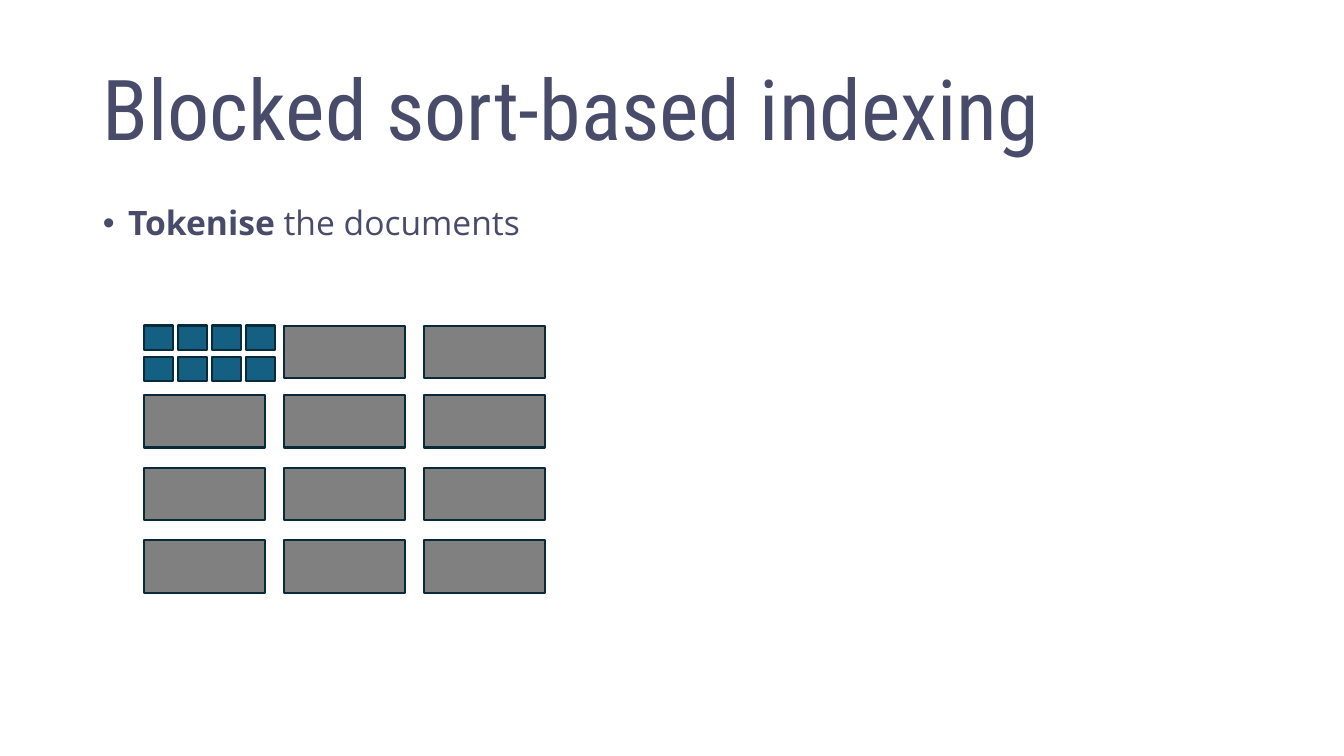
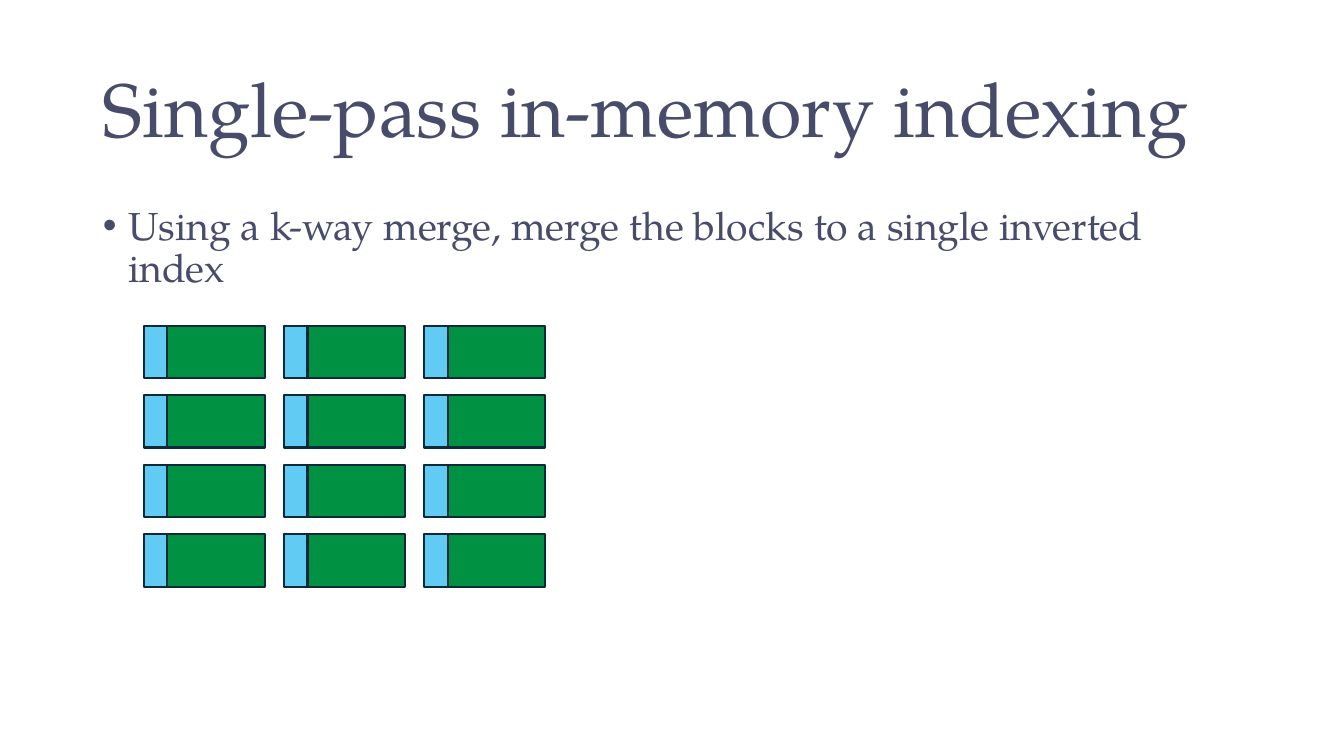
import dataclasses
import itertools

import pptx
import pptx.dml.color
import pptx.enum.shapes
import pptx.enum.text
import pptx.shapes.shapetree
import pptx.slide
import pptx.text.text
import pptx.util

Inches = pptx.util.Inches
Pt = pptx.util.Pt
RGBColor = pptx.dml.color.RGBColor

INK = RGBColor(0x48, 0x4B, 0x6A)
OUTLINE = RGBColor(0x09, 0x2A, 0x39)
GRAY = RGBColor(0x80, 0x80, 0x80)
TEAL = RGBColor(0x15, 0x60, 0x82)
SKY = RGBColor(0x61, 0xCB, 0xF4)
GREEN = RGBColor(0x00, 0x92, 0x42)

TEXT_LEFT, TEXT_W = 0.92, 11.5
COLS, ROWS = 3, 4
GRID_LEFT, GRID_TOP = 1.43, 3.23
COL_PITCH, ROW_PITCH = 1.39, 0.69
LOWER_TOP, LOWER_PITCH = 3.92, 0.72
BLOCK_W, BLOCK_H = 1.2, 0.52
TERM_W = 0.23
TOKEN_COLS, TOKEN_ROWS = 4, 2
TOKEN_W, TOKEN_H = 0.29, 0.24
TOKEN_COL_PITCH, TOKEN_ROW_PITCH = 0.337, 0.31


@dataclasses.dataclass(frozen=True)
class TextStyle:
    font: str
    size: int


@dataclasses.dataclass(frozen=True)
class Run:
    text: str
    bold: bool = False


@dataclasses.dataclass(frozen=True)
class Box:
    left: float
    top: float
    width: float
    height: float
    fill: RGBColor


def set_up_layout(layout: pptx.slide.SlideLayout) -> None:
    """Place the title and body once, for every slide of the layout."""
    for index, top, height in ((0, 0.4, 1.45), (1, 2, 5.3)):
        sp = layout.placeholders[index]
        sp.left, sp.top = Inches(TEXT_LEFT), Inches(top)
        sp.width, sp.height = Inches(TEXT_W), Inches(height)


def write_paragraph(tf: pptx.text.text.TextFrame, runs: list[Run],
                    style: TextStyle) -> pptx.text.text._Paragraph:
    tf.auto_size = pptx.enum.text.MSO_AUTO_SIZE.NONE
    p = tf.paragraphs[0]
    p.alignment = pptx.enum.text.PP_ALIGN.LEFT
    p.line_spacing = 0.9
    p.font.name = style.font
    p.font.size = Pt(style.size)
    p.font.color.rgb = INK
    for run in runs:
        r = p.add_run()
        r.text = run.text
        if run.bold:
            r.font.bold = True
    return p


def add_text_slide(prs: pptx.presentation.Presentation, title: str, title_style: TextStyle,
                   bullet: list[Run], bullet_style: TextStyle) -> pptx.slide.Slide:
    slide = prs.slides.add_slide(prs.slide_layouts[1])
    write_paragraph(slide.shapes.title.text_frame, [Run(title)], title_style)
    p = write_paragraph(slide.placeholders[1].text_frame, bullet, bullet_style)
    p.space_before = Pt(10)
    pPr = p._p.get_or_add_pPr()
    pPr.set("marL", str(Inches(0.25)))
    pPr.set("indent", str(Inches(-0.25)))
    return slide


def add_boxes(slide: pptx.slide.Slide, boxes: list[Box]) -> None:
    """Draw the boxes as one group."""
    group = slide.shapes.add_group_shape()
    for box in boxes:
        sp = group.shapes.add_shape(
            pptx.enum.shapes.MSO_SHAPE.RECTANGLE, Inches(box.left), Inches(box.top),
            Inches(box.width), Inches(box.height))
        sp.shadow.inherit = False
        sp.fill.solid()
        sp.fill.fore_color.rgb = box.fill
        sp.line.color.rgb = OUTLINE
        sp.line.width = Pt(1.5)


def document_blocks() -> list[Box]:
    """Return every block but the top left one, which is split into tokens."""
    tops = [GRID_TOP] + [LOWER_TOP + i * LOWER_PITCH for i in range(ROWS - 1)]
    return [Box(GRID_LEFT + col * COL_PITCH, tops[row], BLOCK_W, BLOCK_H, GRAY)
            for col, row in itertools.product(range(COLS), range(ROWS))
            if (col, row) != (0, 0)]


def tokens() -> list[Box]:
    return [Box(GRID_LEFT + col * TOKEN_COL_PITCH, GRID_TOP + row * TOKEN_ROW_PITCH,
                TOKEN_W, TOKEN_H, TEAL)
            for col, row in itertools.product(range(TOKEN_COLS), range(TOKEN_ROWS))]


def index_blocks(row: int) -> list[Box]:
    """Return one row of blocks, each a narrow term part and a wide postings part."""
    top = GRID_TOP + row * ROW_PITCH
    boxes = []
    for col in range(COLS):
        left = GRID_LEFT + col * COL_PITCH
        boxes += [Box(left, top, TERM_W, BLOCK_H, SKY),
                  Box(left + TERM_W, top, BLOCK_W - TERM_W, BLOCK_H, GREEN)]
    return boxes


def main() -> None:
    prs = pptx.Presentation()
    prs.slide_width, prs.slide_height = Inches(13.33), Inches(7.5)
    set_up_layout(prs.slide_layouts[1])

    slide = add_text_slide(
        prs, "Blocked sort-based indexing", TextStyle("Roboto Condensed", 60),
        [Run("Tokenise ", bold=True), Run("the documents")], TextStyle("Open Sans", 24))
    add_boxes(slide, document_blocks())
    add_boxes(slide, tokens())

    slide = add_text_slide(
        prs, "Single-pass in-memory indexing", TextStyle("TeX Gyre Pagella", 54),
        [Run("Using a k-way merge, merge the blocks to a single inverted index")],
        TextStyle("TeX Gyre Pagella", 28))
    for row in range(ROWS):
        add_boxes(slide, index_blocks(row))

    prs.save("out.pptx")


if __name__ == "__main__":
    main()
